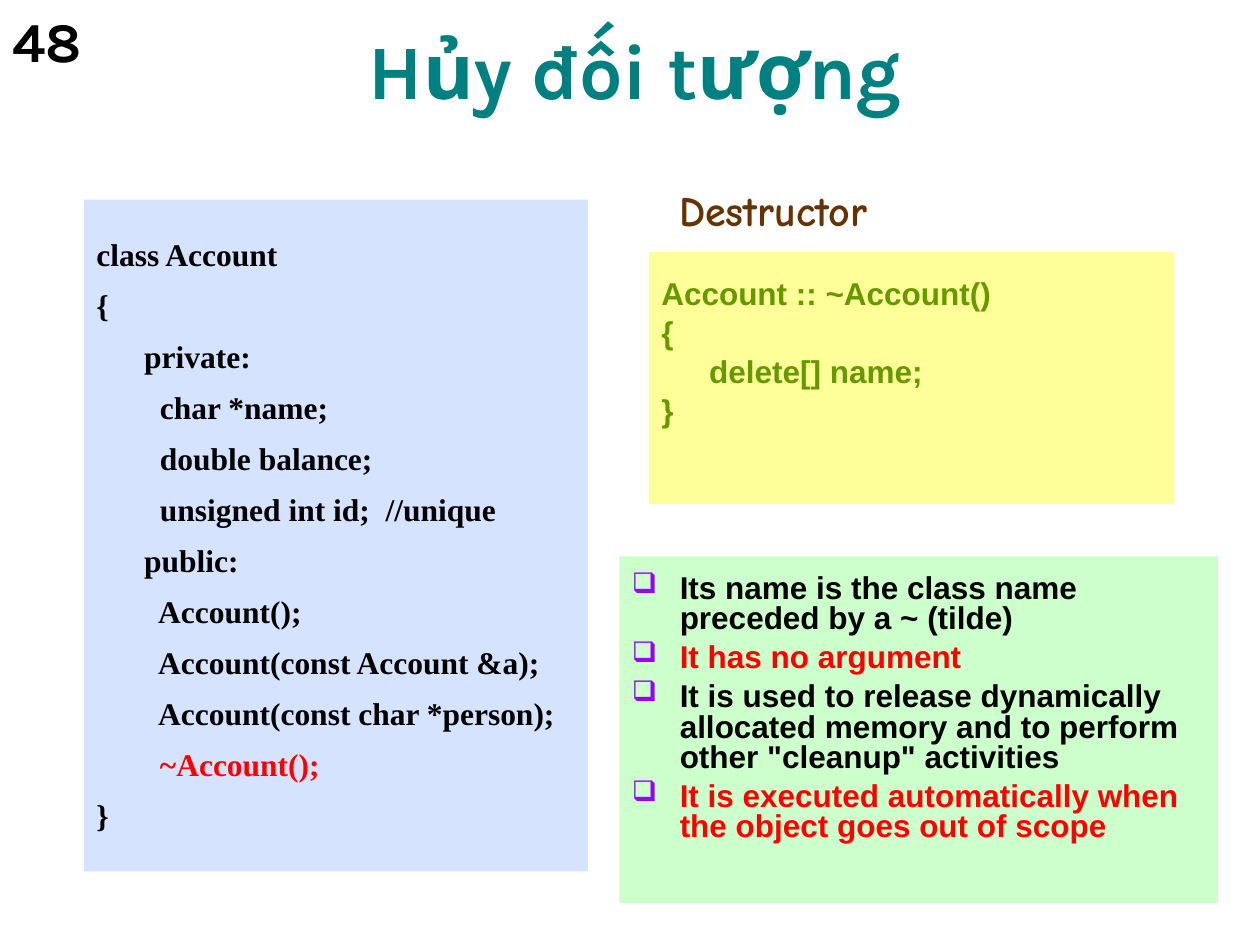
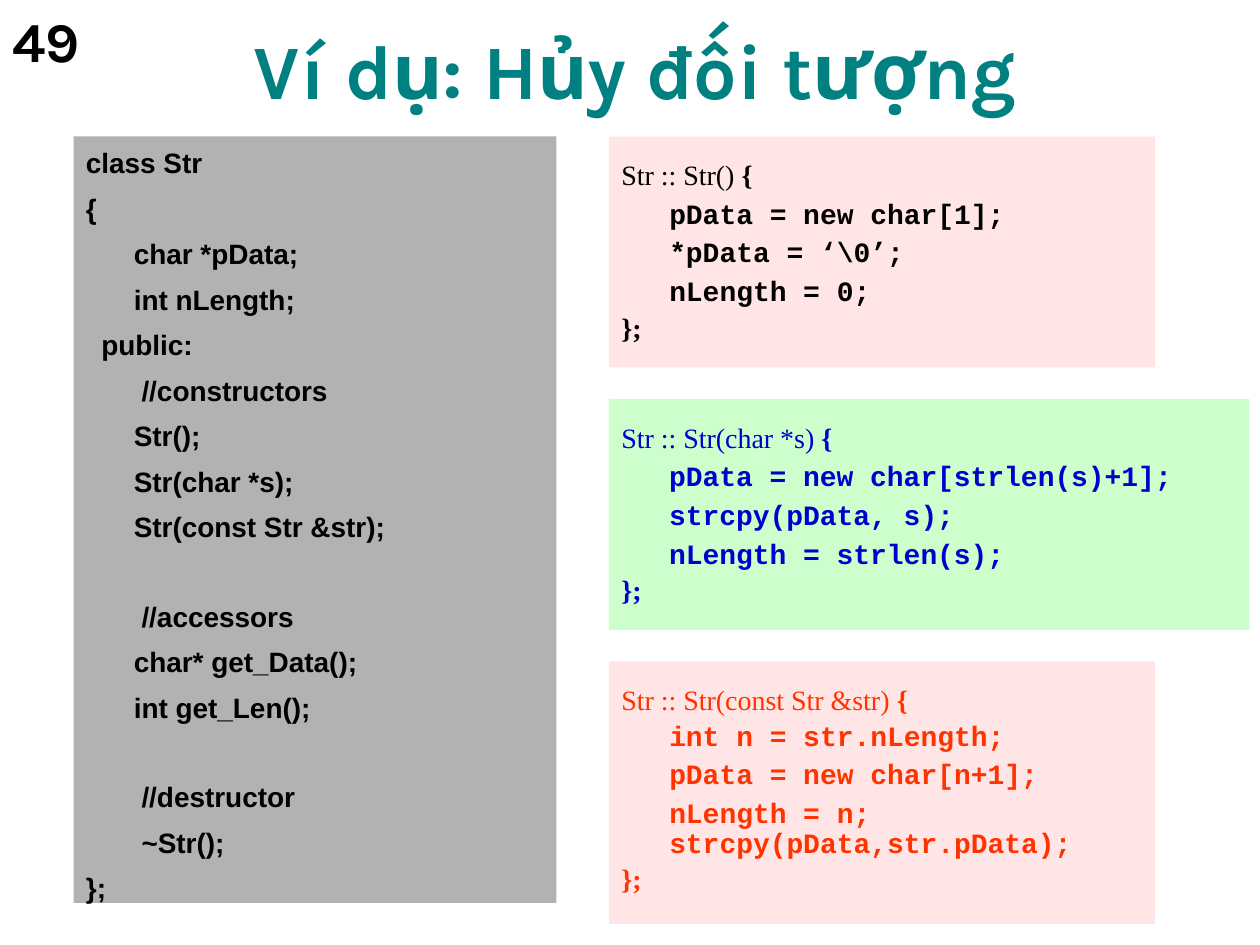
from lxml.etree import SubElement
from pptx import Presentation
from pptx.dml.color import RGBColor
from pptx.enum.shapes import MSO_SHAPE as Preset
from pptx.enum.text import MSO_ANCHOR as Anchor, MSO_AUTO_SIZE as AutoSize, PP_ALIGN as Align
from pptx.oxml.ns import qn
from pptx.util import Inches, Pt

COLUMNS, ROWS = 120, 90
WIDTH, HEIGHT = Inches(10), Inches(7.5)
TITLE_LAYOUT = 5
FIRST_NUMBER = 48
HEADING, SERIF, SANS, MONO = "Karla", "Times New Roman", "Arial", "Courier New"
BLACK, RED, TEAL, BROWN = "000000", "FF0000", "008080", "663300"
OLIVE, BLUE, ORANGE, PURPLE = "669900", "0000CC", "FF3300", "9900FF"
PALE_BLUE, YELLOW, GREEN, GREY, PINK = "D5E3FF", "FFFF99", "CCFFCC", "B2B2B2", "FFE5E5"
HANGING = Inches(0.38)

ACCOUNT_CLASS = """class Account
{
\tprivate:
\t  char *name;
\t  double balance;
\t  unsigned int id;  //unique
\tpublic:
\t  Account();
\t  Account(const Account &a);
\t  Account(const char *person);
\t  ~Account();
}"""

ACCOUNT_DESTRUCTOR = """Account :: ~Account()
{
\tdelete[] name;
}"""

DESTRUCTOR_RULES = [
    ("Its name is the class name preceded by a ~ (tilde)", BLACK),
    ("It has no argument", RED),
    ('It is used to release dynamically allocated memory and to perform other "cleanup" activities', BLACK),
    ("It is executed automatically when the object goes out of scope", RED),
]

STR_CLASS = """class Str
{
\tchar *pData;
\tint nLength;
  public:
\t //constructors
\tStr();
\tStr(char *s);
\tStr(const Str &str);

\t //accessors
\tchar* get_Data();
\tint get_Len();

\t //destructor
\t ~Str();
};"""

STR_CONSTRUCTORS = [
    ("Str :: Str()", ["pData = new char[1];", "*pData = ‘\\0’;", "nLength = 0;"],
     (58, 13, 52, 22), PINK, BLACK, 0.9),
    ("Str :: Str(char *s)", ["pData = new char[strlen(s)+1];", "strcpy(pData, s);", "nLength = strlen(s);"],
     (58, 38, 61, 22), GREEN, BLUE, 0.9),
    ("Str :: Str(const Str &str)",
     ["int n = str.nLength;", "pData = new char[n+1];", "nLength = n; strcpy(pData,str.pData);"],
     (58, 63, 52, 25), PINK, ORANGE, 0.8),
]


def rgb(value):
    """Turn a hex string into a colour."""
    return RGBColor.from_string(value)


def grid(column, row, columns, rows):
    """Turn grid units into left, top, width and height."""
    return (round(WIDTH * column / COLUMNS), round(HEIGHT * row / ROWS),
            round(WIDTH * columns / COLUMNS), round(HEIGHT * rows / ROWS))


def set_font(font, name, size, color, bold=True):
    """Format the font of a paragraph or a run."""
    font.name, font.size, font.bold = name, Pt(size), bold
    font.color.rgb = rgb(color)


def hang(paragraph, bullet=None):
    """Give a paragraph a hanging indent, with a bullet if one is named."""
    properties = paragraph._p.get_or_add_pPr()
    properties.set("marL", str(HANGING))
    properties.set("indent", str(-HANGING))
    if bullet:
        color = SubElement(properties, qn("a:buClr"))
        SubElement(color, qn("a:srgbClr"), val=PURPLE)
        SubElement(properties, qn("a:buSzPct"), val="90000")
        SubElement(properties, qn("a:buChar"), char=bullet)


def add_line(frame, spacing, before, bullet=None):
    """Start a hanging paragraph, reusing the empty first one of a frame."""
    first = frame.paragraphs[0]
    is_first = not first.runs
    paragraph = first if is_first else frame.add_paragraph()
    paragraph.alignment = Align.LEFT
    paragraph.line_spacing = spacing
    paragraph.space_before = Pt(0 if is_first else before)
    hang(paragraph, bullet)
    return paragraph


def add_panel(slide, cells, fill, top_inset=0.05):
    """Add a filled rectangle and return its text frame."""
    panel = slide.shapes.add_shape(Preset.RECTANGLE, *grid(*cells))
    panel.shadow.inherit = False
    panel.fill.solid()
    panel.fill.fore_color.rgb = rgb(fill)
    panel.line.fill.background()
    frame = panel.text_frame
    frame.word_wrap = True
    frame.vertical_anchor = Anchor.TOP
    frame.margin_top = Inches(top_inset)
    return frame


def add_code(frame, code, font, size, color, spacing, before, accents=()):
    """Write code line by line; a blank line becomes space before the next."""
    gap = before
    for line in code.splitlines():
        if not line:
            gap += size * 1.15 * spacing + before
            continue
        paragraph = add_line(frame, spacing, round(gap, 1))
        paragraph.add_run().text = line
        set_font(paragraph.font, font, size, RED if line.strip() in accents else color)
        gap = before


def add_constructor(slide, signature, body, cells, fill, color, first_spacing):
    """Add a panel with a constructor: serif signature, monospaced body."""
    frame = add_panel(slide, cells, fill, 0.22)
    heading = add_line(frame, 0.8, 0)
    for text, bold in ((signature, False), (" {", True)):
        run = heading.add_run()
        run.text = text
        set_font(run.font, SERIF, 16, color, bold)
    for index, statement in enumerate(body):
        paragraph = add_line(frame, 0.9 if index else first_spacing, 5)
        paragraph.add_run().text = "\t" + statement
        set_font(paragraph.font, MONO, 16, color)
    add_code(frame, "};", SERIF, 16, color, 0.8, 5)


def add_rules(slide, cells, rules):
    """Add a panel with a bulleted list of coloured rules."""
    frame = add_panel(slide, cells, GREEN, 0.15)
    frame.margin_bottom = Inches(0.15)
    for text, color in rules:
        paragraph = add_line(frame, 0.8, 5, "❑")
        paragraph.add_run().text = text
        set_font(paragraph.font, SANS, 18, color)


def add_label(slide, cells, text, font, size, color, wrap=True):
    """Add a one-line text box."""
    frame = slide.shapes.add_textbox(*grid(*cells)).text_frame
    frame.word_wrap = wrap
    frame.auto_size = AutoSize.SHAPE_TO_FIT_TEXT
    frame.text = text
    set_font(frame.paragraphs[0].font, font, size, color)


def add_titled_slide(presentation, title):
    """Add a slide with its title and its number."""
    slide = presentation.slides.add_slide(presentation.slide_layouts[TITLE_LAYOUT])
    placeholder = slide.shapes.title
    placeholder.left, placeholder.top, placeholder.width, placeholder.height = grid(4, 2, 113, 9.5)
    frame = placeholder.text_frame
    frame.text = title
    frame.auto_size = AutoSize.NONE
    frame.vertical_anchor = Anchor.BOTTOM
    frame.paragraphs[0].alignment = Align.CENTER
    set_font(frame.paragraphs[0].font, HEADING, 44, TEAL)
    number = FIRST_NUMBER + len(presentation.slides) - 1
    add_label(slide, (0, 0, 13, 8.5), str(number), HEADING, 32, BLACK)
    return slide


def build_destructor(presentation):
    """Build the slide that explains the destructor."""
    slide = add_titled_slide(presentation, "Hủy đối tượng")
    account = add_panel(slide, (8, 19, 48, 64), PALE_BLUE, 0.25)
    add_code(account, ACCOUNT_CLASS, SERIF, 18, BLACK, 1.1, 5.4, accents=("~Account();",))
    add_label(slide, (63.5, 17, 20.4, 6), "Destructor", "Comic Neue", 24, BROWN, wrap=False)
    destructor = add_panel(slide, (61.8, 24, 50, 24), YELLOW, 0.23)
    add_code(destructor, ACCOUNT_DESTRUCTOR, SANS, 18, OLIVE, 0.8, 5)
    add_rules(slide, (59, 53, 57, 33), DESTRUCTOR_RULES)


def build_example(presentation):
    """Build the slide with the string class and its constructors."""
    slide = add_titled_slide(presentation, "Ví dụ: Hủy đối tượng")
    add_code(add_panel(slide, (7, 13, 46, 73), GREY), STR_CLASS, SANS, 16, BLACK, 1.1, 4.9)
    for constructor in STR_CONSTRUCTORS:
        add_constructor(slide, *constructor)


def main():
    """Build and save the presentation."""
    presentation = Presentation()
    presentation.slide_width, presentation.slide_height = WIDTH, HEIGHT
    build_destructor(presentation)
    build_example(presentation)
    presentation.save("out.pptx")


if __name__ == "__main__":
    main()
